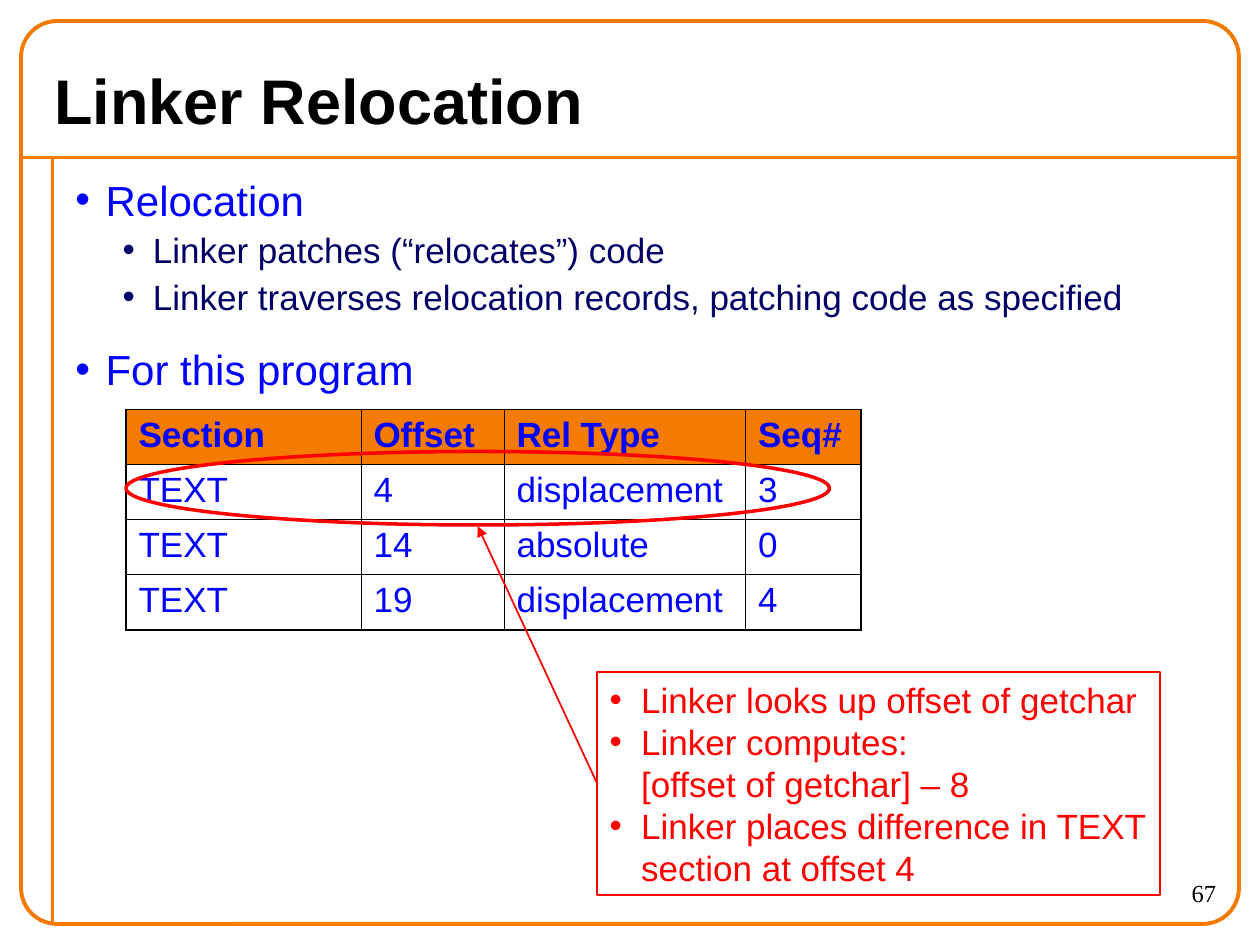
from lxml import etree
from pptx import Presentation
from pptx.dml.color import RGBColor
from pptx.enum.shapes import MSO_CONNECTOR, MSO_SHAPE
from pptx.enum.text import MSO_ANCHOR, PP_ALIGN
from pptx.oxml.ns import qn
from pptx.util import Pt

PX = 9525
ORANGE = RGBColor(0xF4, 0x7A, 0x00)
BLUE = RGBColor(0x00, 0x00, 0xFF)
NAVY = RGBColor(0x00, 0x00, 0x66)
RED = RGBColor(0xFF, 0x00, 0x00)
BLACK = RGBColor(0x00, 0x00, 0x00)
STRAIGHT = MSO_CONNECTOR.STRAIGHT
ROUNDED, RECTANGLE, OVAL = MSO_SHAPE.ROUNDED_RECTANGLE, MSO_SHAPE.RECTANGLE, MSO_SHAPE.OVAL
MIDDLE, TOP = MSO_ANCHOR.MIDDLE, MSO_ANCHOR.TOP
LEFT, RIGHT = PP_ALIGN.LEFT, PP_ALIGN.RIGHT


def style(paragraph, size, color, bold=False, face="Arial"):
    font = paragraph.font
    font.size, font.bold, font.name = Pt(size), bold, face
    font.color.rgb = color


def add_bullet(paragraph, margin, hanging, color):
    props = paragraph._p.get_or_add_pPr()
    props.set("marL", str(margin * PX))
    props.set("indent", str(-hanging * PX))
    tint = etree.SubElement(props, qn("a:buClr"))
    etree.SubElement(tint, qn("a:srgbClr"), val=str(color))
    etree.SubElement(props, qn("a:buFont"), typeface="Arial")
    etree.SubElement(props, qn("a:buChar"), char="•")


prs = Presentation()
prs.slide_width, prs.slide_height = 960 * PX, 720 * PX
slide = prs.slides.add_slide(prs.slide_layouts[6])
shapes = slide.shapes

for x1, y1, x2, y2 in [(16, 120, 944, 120), (40, 120, 40, 704)]:
    rule = shapes.add_connector(STRAIGHT, x1 * PX, y1 * PX, x2 * PX, y2 * PX)
    rule.line.color.rgb = ORANGE
    rule.line.width = Pt(2.25)
    etree.SubElement(rule._element.spPr, qn("a:effectLst"))

frame = shapes.add_shape(ROUNDED, 16 * PX, 16 * PX, 928 * PX, 688 * PX)
frame.adjustments[0] = 0.04
frame.shadow.inherit = False
frame.fill.background()
frame.line.color.rgb = ORANGE
frame.line.width = Pt(2.25)

page_number = shapes.add_textbox(840 * PX, 664 * PX, 96 * PX, 40 * PX).text_frame
page_number.word_wrap = True
page_number.text = "67"
page_number.paragraphs[0].alignment = RIGHT
style(page_number.paragraphs[0], 14, BLACK, face="Times New Roman")

title = shapes.add_textbox(32 * PX, 40 * PX, 896 * PX, 72 * PX).text_frame
title.word_wrap = True
title.vertical_anchor = MIDDLE
title.text = "Linker Relocation"
style(title.paragraphs[0], 36, BLACK, bold=True)

outline = shapes.add_textbox(48 * PX, 128 * PX, 888 * PX, 576 * PX).text_frame
outline.word_wrap = True
points = [
    (0, "Relocation"),
    (1, "Linker patches (“relocates”) code"),
    (1, "Linker traverses relocation records, patching code as specified"),
    (0, "For this program"),
]
levels = [(23, 24, BLUE, 15), (59, 20, NAVY, 2.5)]
outline.text = "\n".join(text for _, text in points)
for index, (level, _) in enumerate(points):
    margin, size, color, gap = levels[level]
    paragraph = outline.paragraphs[index]
    paragraph.level = level
    add_bullet(paragraph, margin, 23, color)
    if index:
        paragraph.space_before = Pt(gap)
    style(paragraph, size, color)

records = [
    ["Section", "Offset", "Rel Type", "Seq#"],
    ["TEXT", "4", "displacement", "3"],
    ["TEXT", "14", "absolute", "0"],
    ["TEXT", "19", "displacement", "4"],
]
widths = [179, 109, 184, 88]
last_row, last_col = len(records) - 1, len(widths) - 1
table = shapes.add_table(len(records), len(widths), 96 * PX, 312 * PX,
                         sum(widths) * PX, 42 * len(records) * PX).table
for column, width in zip(table.columns, widths):
    column.width = width * PX
for r, record in enumerate(records):
    table.rows[r].height = 42 * PX
    for c, value in enumerate(record):
        cell = table.cell(r, c)
        cell.text = value
        style(cell.text_frame.paragraphs[0], 20, BLUE, bold=r == 0)
        edges = {"a:lnL": c == 0, "a:lnR": c == last_col,
                 "a:lnT": r == 0, "a:lnB": r == last_row}
        for tag, outer in edges.items():
            border = etree.SubElement(cell._tc.get_or_add_tcPr(), qn(tag),
                                      w=str(Pt(1.08 if outer else 0.45)))
            ink = etree.SubElement(border, qn("a:solidFill"))
            etree.SubElement(ink, qn("a:srgbClr"), val=str(BLACK))
        if r == 0:
            cell.fill.solid()
            cell.fill.fore_color.rgb = ORANGE
        else:
            cell.fill.background()

callout = shapes.add_shape(RECTANGLE, 455 * PX, 512 * PX, 429 * PX, 170 * PX)
highlight = shapes.add_shape(OVAL, 96 * PX, 344 * PX, 536 * PX, 56 * PX)
for marker, width in [(callout, 1), (highlight, 2)]:
    marker.shadow.inherit = False
    marker.fill.background()
    marker.line.color.rgb = RED
    marker.line.width = Pt(width)

steps = [
    "Linker looks up offset of getchar",
    "Linker computes:\v[offset of getchar] – 8",
    "Linker places difference in TEXT\vsection at offset 4",
]
callout_text = callout.text_frame
callout_text.word_wrap = False
callout_text.vertical_anchor = TOP
callout_text.text = "\n".join(steps)
for paragraph in callout_text.paragraphs:
    paragraph.alignment = LEFT
    add_bullet(paragraph, 24, 24, RED)
    style(paragraph, 20, RED)

pointer = shapes.add_connector(STRAIGHT, 455 * PX, 597 * PX, 364 * PX, 401 * PX)
pointer.begin_connect(callout, 1)
pointer.line.color.rgb = RED
pointer.line.width = Pt(1)
etree.SubElement(pointer.line._get_or_add_ln(), qn("a:tailEnd"), type="triangle", w="med", len="med")
etree.SubElement(pointer._element.spPr, qn("a:effectLst"))

prs.save("out.pptx")
